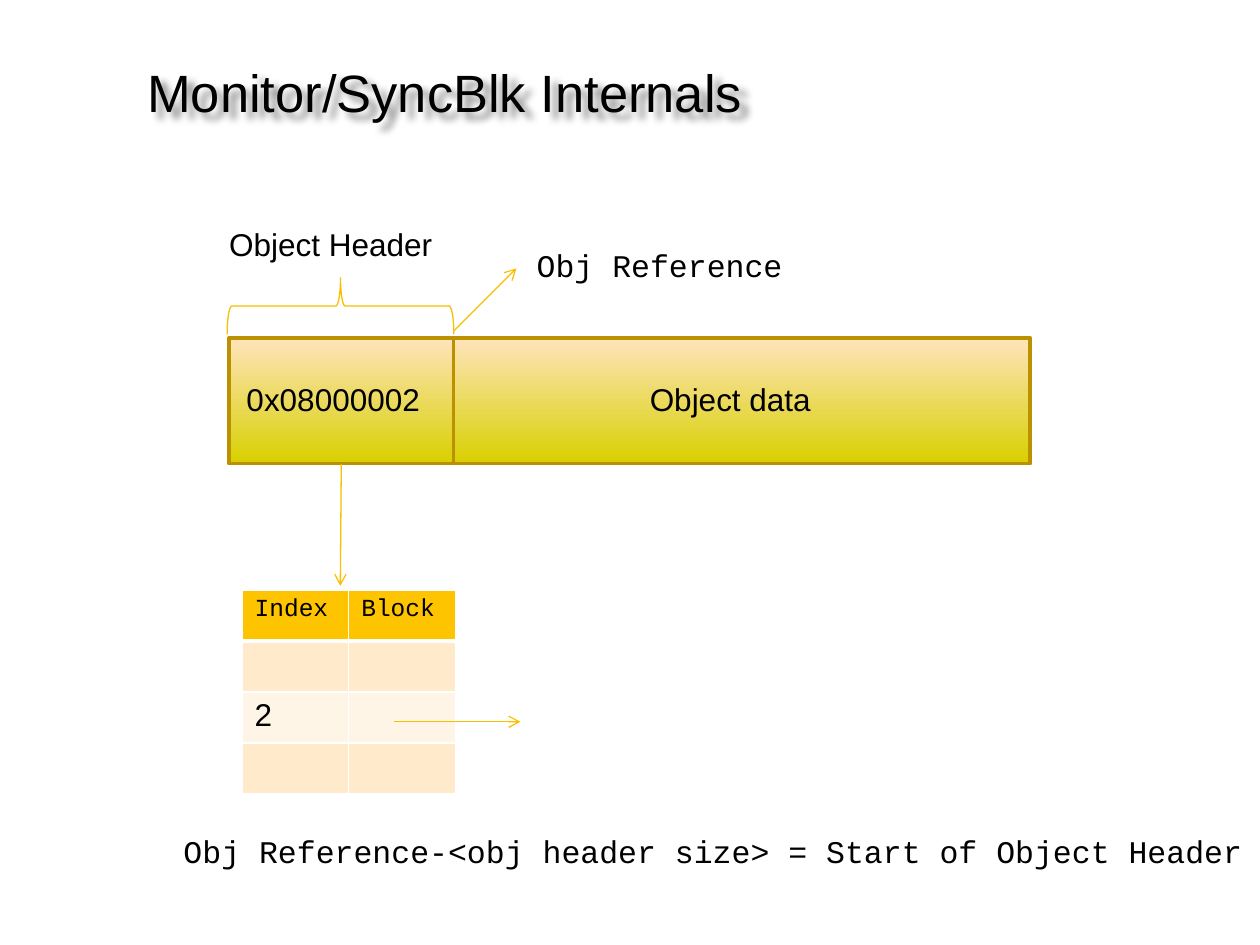
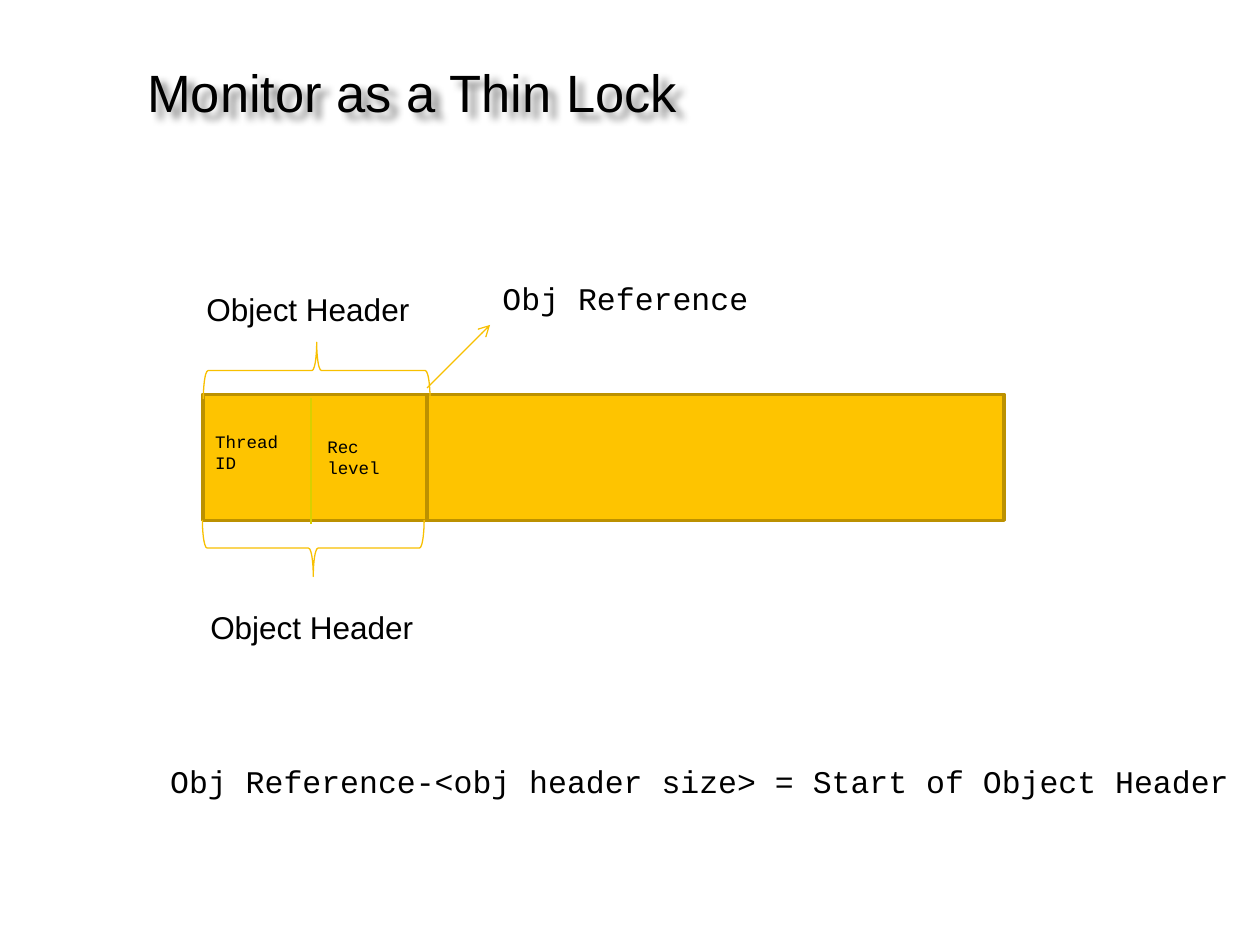
from lxml import etree
from pptx import Presentation
from pptx.dml.color import RGBColor
from pptx.enum.shapes import MSO_CONNECTOR, MSO_SHAPE
from pptx.enum.text import MSO_ANCHOR, MSO_AUTO_SIZE, PP_ALIGN
from pptx.oxml import parse_xml
from pptx.oxml.ns import nsdecls, qn
from pptx.util import Cm, Pt

# Shared style
BLACK, WHITE = "000000", "FFFFFF"
GOLD, GOLD_EDGE, GOLD_LINE, OLIVE, CREAM = "FEC400", "BC9100", "F8C000", "D8D000", "FFE4BC"
ROW_DARK, ROW_LIGHT = "FFEACC", "FFF5E7"
SANS, MONO = "Arial", "Courier New"

# Shared sizes in centimetres
HEADER_WIDTH, DATA_WIDTH, BLOCK_HEIGHT = 4.52, 11.63, 2.54
BRACE_HEIGHT, LABEL_HEIGHT = 1.14, 1.02
FORMULA = "Obj Reference-<obj header size> = Start of Object Header"


def color(value):
    return RGBColor.from_string(value)


def apply(target, values):
    for name, value in values.items():
        setattr(target, name, value)


class Slides:
    def __init__(self):
        self.deck = Presentation()
        apply(self.deck, {"slide_width": Cm(25.4), "slide_height": Cm(19.05)})

    def new_page(self, title):
        self.page = self.deck.slides.add_slide(self.deck.slide_layouts[6])
        box = self.text(title, 2.72, 0.94, 18.64, 2.21, size=30, wrap=True)
        apply(box.text_frame, {"margin_top": Cm(0.27), "auto_size": MSO_AUTO_SIZE.NONE})
        box.element.spPr.append(parse_xml(
            f'<a:effectLst {nsdecls("a")}>'
            '<a:outerShdw blurRad="50800" dist="63500" dir="2700000" algn="tl" rotWithShape="0">'
            '<a:srgbClr val="000000"><a:alpha val="45000"/></a:srgbClr>'
            '</a:outerShdw></a:effectLst>'))

    def set_words(self, frame, words, font, size):
        for index, line in enumerate(words.split("\n")):
            para = frame.paragraphs[0] if index == 0 else frame.add_paragraph()
            para.alignment = PP_ALIGN.LEFT
            span = para.add_run()
            span.text = line
            apply(span.font, {"name": font, "size": Pt(size), "bold": False})
            span.font.color.rgb = color(BLACK)

    def text(self, words, left, top, width, height=LABEL_HEIGHT, font=SANS, size=18, wrap=False):
        box = self.page.shapes.add_textbox(Cm(left), Cm(top), Cm(width), Cm(height))
        apply(box.text_frame, {"word_wrap": wrap, "vertical_anchor": MSO_ANCHOR.TOP,
                               "auto_size": MSO_AUTO_SIZE.SHAPE_TO_FIT_TEXT})
        self.set_words(box.text_frame, words, font, size)
        return box

    def block(self, left, top, width, gradient):
        box = self.page.shapes.add_shape(
            MSO_SHAPE.RECTANGLE, Cm(left), Cm(top), Cm(width), Cm(BLOCK_HEIGHT))
        box.shadow.inherit = False
        if gradient:
            box.fill.gradient()
            box.fill.gradient_angle = 90
            for stop, value in zip(box.fill.gradient_stops, (OLIVE, CREAM)):
                stop.color.rgb = color(value)
        else:
            box.fill.solid()
            box.fill.fore_color.rgb = color(GOLD)
        box.line.color.rgb = color(GOLD_EDGE)
        box.line.width = Pt(2)

    def line(self, start, end, stroke=GOLD_LINE, arrow=True):
        connector = self.page.shapes.add_connector(
            MSO_CONNECTOR.STRAIGHT, *(Cm(value) for value in (*start, *end)))
        connector.line.color.rgb = color(stroke)
        connector.line.width = Pt(0.75)
        properties = connector.element.spPr
        if arrow:
            etree.SubElement(properties.find(qn("a:ln")), qn("a:tailEnd"), type="arrow")
        etree.SubElement(properties, qn("a:effectLst"))

    def brace(self, left, top, width, rotation):
        """Lay a right brace on its side, within the area given."""
        shift = (width - BRACE_HEIGHT) / 2
        shape = self.page.shapes.add_shape(
            MSO_SHAPE.RIGHT_BRACE, Cm(left + shift), Cm(top - shift), Cm(BRACE_HEIGHT), Cm(width))
        shape.rotation = rotation
        shape.shadow.inherit = False
        shape.fill.background()
        shape.line.color.rgb = color(GOLD_LINE)
        shape.line.width = Pt(0.75)

    def memory(self, left, top, gradient=False):
        """Draw an object in memory: data, header and the reference between them."""
        data_left = left + HEADER_WIDTH
        self.block(data_left, top, DATA_WIDTH, gradient)
        self.block(left, top, HEADER_WIDTH, gradient)
        self.line((data_left, top - 0.13), (data_left + 1.27, top - 1.4))

    def reference_label(self, left, top):
        self.text("Obj Reference", left, top, 5.49, font=MONO)

    def header_label(self, left, top):
        self.text("Object Header", left, top, 4.65)

    def formula(self, left, top):
        self.text(FORMULA, left, top, 21.95, font=MONO)

    def borders(self, cell, bottom):
        properties = cell._tc.get_or_add_tcPr()
        for index, (side, width) in enumerate(zip("LRTB", (1, 1, 1, bottom))):
            properties.insert(index, parse_xml(
                f'<a:ln{side} {nsdecls("a")} w="{Pt(width)}"><a:solidFill>'
                f'<a:srgbClr val="{WHITE}"/></a:solidFill></a:ln{side}>'))

    def table(self, rows, left, top, column_width, row_height):
        columns = len(rows[0])
        grid = self.page.shapes.add_table(
            len(rows), columns, Cm(left), Cm(top),
            Cm(column_width * columns), Cm(row_height * len(rows))).table
        for row_index, row in enumerate(rows):
            is_head = row_index == 0
            fill = GOLD if is_head else ROW_DARK if row_index % 2 else ROW_LIGHT
            for column_index, words in enumerate(row):
                cell = grid.cell(row_index, column_index)
                cell.fill.solid()
                cell.fill.fore_color.rgb = color(fill)
                self.borders(cell, 3 if is_head else 1)
                if words:
                    self.set_words(cell.text_frame, words,
                                   MONO if is_head else SANS, 14 if is_head else 18)


def sync_block_page(slides):
    slides.new_page("Monitor/SyncBlk Internals")
    # Object in memory
    slides.memory(4.62, 6.81, gradient=True)
    slides.text("Object data", 12.85, 7.54, 3.78)
    slides.text("0x08000002", 4.72, 7.54, 4.04)
    slides.reference_label(10.57, 4.83)
    slides.brace(4.58, 5.6, 4.57, 270)
    # Table of sync blocks
    slides.line((6.88, 9.35), (6.86, 11.81))
    slides.table([("Index", "Block"), ("", ""), ("2", ""), ("", "")], 4.88, 11.89, 2.15, 1.03)
    slides.line((7.95, 14.55), (10.49, 14.55))
    # Captions
    slides.header_label(4.37, 4.42)
    slides.formula(3.45, 16.64)


def thin_lock_page(slides):
    slides.new_page("Monitor as a Thin Lock")
    # Object in memory
    slides.memory(4.09, 7.95)
    slides.reference_label(9.88, 5.51)
    # Two halves of the header
    slides.line((6.27, 8.03), (6.27, 10.57), OLIVE, arrow=False)
    slides.text("Thread\nID", 4.09, 8.56, 2.21, 1.12, MONO, 10, wrap=True)
    slides.text("Rec level", 6.35, 8.66, 1.9, 1.12, MONO, 10, wrap=True)
    # Braces and captions
    slides.header_label(3.99, 12.14)
    slides.brace(4.08, 10.48, 4.47, 90)
    slides.formula(3.18, 15.24)
    slides.brace(4.1, 6.9, 4.57, 270)
    slides.header_label(3.91, 5.72)


def main():
    slides = Slides()
    sync_block_page(slides)
    thin_lock_page(slides)
    slides.deck.save("out.pptx")


if __name__ == "__main__":
    main()
